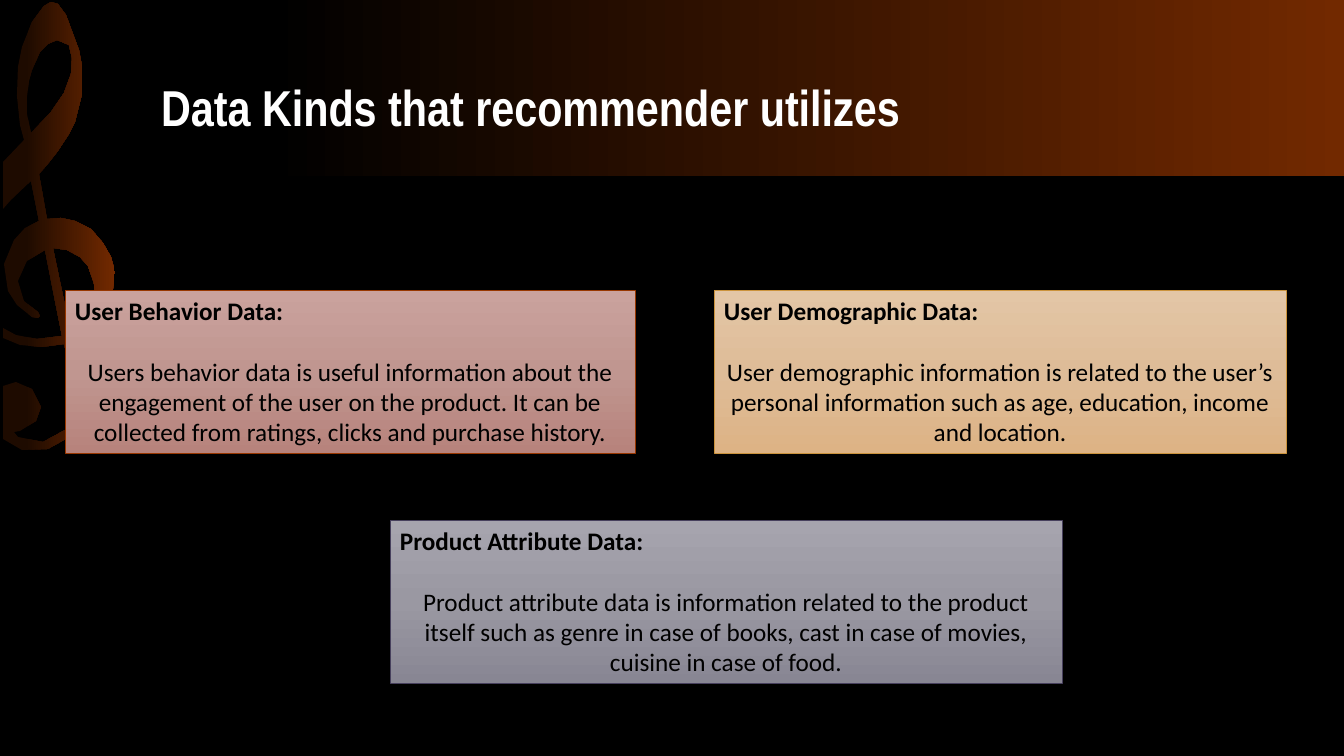
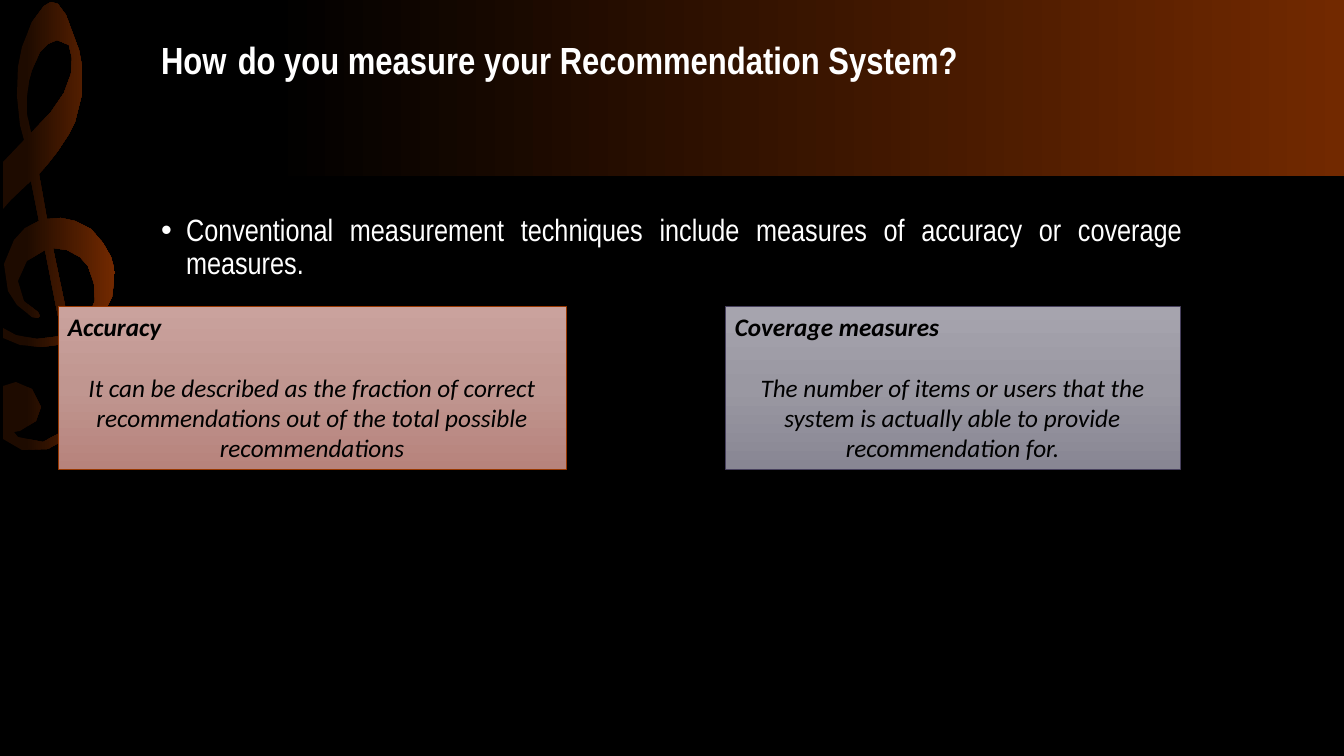
from dataclasses import dataclass

from lxml import etree
from pptx import Presentation
from pptx import util as u
from pptx.dml.color import RGBColor
from pptx.enum import shapes, text
from pptx.oxml.ns import qn

PX = u.Inches(7.5) / 756
WIDE, HIGH = 1344, 756


@dataclass(frozen=True)
class Theme:
    back: str = "000000"
    ink: str = "000000"
    light: str = "FFFFFF"
    band: tuple = ((20, "000000"), (100, "722900"))
    clef: tuple = ((20, "1E0B00"), (100, "722900"))
    # Card tints: gradient stops and outline
    rose: tuple = (((0, "CAA29D"), (50, "C09690"), (100, "B7837C")), "983700")
    sand: tuple = (((0, "E3C6A6"), (50, "DEBC98"), (100, "DDB385")), "CB933C")
    slate: tuple = (((0, "A6A4AE"), (50, "9A98A2"), (100, "888693")), "47405D")
    head: str = "Arial Narrow"
    text: str = "Calibri"
    serif: str = "Times New Roman"
    big: int = 36
    mid: int = 27
    gap: int = 32
    list: int = 22
    card: int = 18


T = Theme()

# Clef in px: the outline, then its two openings
CLEF = [
    [(103, 243), (91, 229), (75, 221), (61, 218), (47, 219), (39, 174),
     (47, 165), (58, 151), (69, 134), (75, 122), (82, 94), (82, 66), (79, 50),
     (66, 15), (58, 4), (51, 2), (44, 6), (32, 22), (22, 47), (18, 67),
     (17, 96), (20, 125), (24, 140), (3, 162), (3, 209), (11, 200), (31, 181),
     (39, 221), (25, 228), (14, 240), (4, 264), (8, 291), (17, 305),
     (32, 317), (38, 318), (40, 316), (38, 312), (24, 301), (18, 281),
     (27, 261), (45, 250), (62, 336), (37, 339), (16, 335), (3, 328),
     (3, 338), (20, 345), (42, 347), (64, 344), (68, 359), (74, 396),
     (73, 415), (65, 430), (43, 442), (18, 437), (14, 432), (20, 431),
     (36, 421), (41, 407), (32, 389), (16, 382), (3, 386), (3, 439),
     (22, 450), (48, 449), (71, 436), (81, 422), (83, 407), (79, 371),
     (72, 341), (88, 332), (101, 319), (112, 297), (115, 272), (111, 257)],
    [(31, 133), (27, 114), (27, 97), (29, 81), (32, 70), (40, 52), (48, 44),
     (57, 40), (69, 45), (72, 58), (71, 74), (64, 93), (51, 112)],
    [(95, 301), (89, 315), (71, 334), (53, 248), (67, 250), (80, 257),
     (88, 266), (94, 283)],
]


def px(*nums):
    return [round(n * PX) for n in nums]


def rgb(code):
    return RGBColor.from_string(code)


def shade(shape, stops, angle):
    """Fill a shape with a linear gradient of (percent, colour) stops."""
    shape.shadow.inherit = False
    shape.fill.gradient()
    shape.fill.gradient_angle = angle
    group = shape.element.spPr.find(".//" + qn("a:gsLst"))
    for old in list(group):
        group.remove(old)
    for pos, code in stops:
        stop = etree.SubElement(group, qn("a:gs"), pos=str(pos * 1000))
        etree.SubElement(stop, qn("a:srgbClr"), val=code)


def style(font, name, size, color, bold=False, slant=False):
    font.name, font.size = name, u.Pt(size)
    font.color.rgb = rgb(color)
    font.bold, font.italic = bold, slant


def draw_clef(slide):
    pen = None
    for start, *rest in CLEF:
        if pen is None:
            pen = slide.shapes.build_freeform(*px(*start))
        else:
            pen.move_to(*px(*start))
        pen.add_line_segments([px(*point) for point in rest])
    return pen.convert_to_shape()


def dress(deck, slide):
    """Put the backdrop, band and clef on the master, drawn via a slide."""
    master = deck.slide_master
    master.background.fill.solid()
    master.background.fill.fore_color.rgb = rgb(T.back)
    band = slide.shapes.add_shape(
        shapes.MSO_SHAPE.RECTANGLE, *px(0, 0, WIDE, 176))
    parts = [(band, T.band), (draw_clef(slide), T.clef)]
    for n, (part, stops) in enumerate(parts):
        shade(part, stops, 0)
        part.line.fill.background()
        part.element.nvSpPr.cNvPr.set("id", str(100 + n))
        master.shapes.element.insert(2 + n, part.element)


def place(shape, *box):
    shape.left, shape.top, shape.width, shape.height = px(*box)


def add_title(slide, runs, anchor, inset=5):
    """Title from (words, font, size) runs."""
    title = slide.shapes.title
    place(title, 151, 22, 1041, 121)
    frame = title.text_frame
    frame.auto_size = text.MSO_AUTO_SIZE.NONE
    frame.vertical_anchor = anchor
    frame.margin_top = px(inset)[0]
    para = frame.paragraphs[0]
    para.alignment, para.line_spacing = text.PP_ALIGN.LEFT, 0.9
    for words, name, size in runs:
        run = para.add_run()
        run.text = words
        style(run.font, name, size, T.light, bold=True)


def add_list(slide, items):
    body = slide.placeholders[1]
    place(body, 151, 210, 1041, 487)
    frame = body.text_frame
    frame.auto_size = text.MSO_AUTO_SIZE.NONE
    for n, item in enumerate(items):
        para = frame.add_paragraph() if n else frame.paragraphs[0]
        para.text = item
        para.alignment = text.PP_ALIGN.JUSTIFY
        para.line_spacing, para.space_before = 0.9, u.Pt(12)
        style(para.font, T.head, T.list, T.light)
        props = para._p.get_or_add_pPr()
        props.set("marL", str(px(25)[0]))
        props.set("indent", str(px(-25)[0]))
        etree.SubElement(props, qn("a:buChar"), char="•")
        props.append(props.find(qn("a:defRPr")))


def add_card(slide, left, top, width, tint, head, words, slant=False):
    card = slide.shapes.add_shape(
        shapes.MSO_SHAPE.RECTANGLE, *px(left, top, width, 163))
    stops, edge = tint
    shade(card, stops, 270)
    card.line.color.rgb, card.line.width = rgb(edge), u.Pt(0.5)
    frame = card.text_frame
    frame.word_wrap = True
    frame.vertical_anchor = text.MSO_ANCHOR.TOP
    first, last = frame.paragraphs[0], frame.add_paragraph()
    first.text, last.text = head, words
    first.alignment = text.PP_ALIGN.LEFT if slant else text.PP_ALIGN.JUSTIFY
    last.alignment, last.space_before = text.PP_ALIGN.CENTER, u.Pt(22)
    style(first.font, T.text, T.card, T.ink, True, slant)
    style(last.font, T.text, T.card, T.ink, False, slant)


def main():
    deck = Presentation()
    deck.slide_width, deck.slide_height = px(WIDE, HIGH)

    # Kinds of data
    kinds = deck.slides.add_slide(deck.slide_layouts[5])
    dress(deck, kinds)
    add_title(kinds, [("Data Kinds that recommender utilizes", T.head, T.big)],
              text.MSO_ANCHOR.BOTTOM)
    add_card(kinds, 65, 290, 570, T.rose, "User Behavior Data:",
             "Users behavior data is useful information about the engagement "
             "of the user on the product. It can be collected from ratings, "
             "clicks and purchase history.")
    add_card(kinds, 390, 520, 672, T.slate, "Product Attribute Data:",
             "Product attribute data is information related to the product "
             "itself such as genre in case of books, cast in case of movies, "
             "cuisine in case of food.")
    add_card(kinds, 714, 290, 572, T.sand, "User Demographic Data:",
             "User demographic information is related to the user’s personal "
             "information such as age, education, income and location.")

    # Measures
    gauge = deck.slides.add_slide(deck.slide_layouts[1])
    add_title(gauge, [("How", T.head, T.mid), (" ", T.serif, T.gap),
                      ("do you measure your Recommendation System?",
                       T.head, T.mid)],
              text.MSO_ANCHOR.TOP, inset=14)
    add_list(gauge, ["Conventional measurement techniques include measures of "
                     "accuracy or coverage measures."])
    add_card(gauge, 58, 306, 508, T.rose, "Accuracy",
             "It can be described as the fraction of correct recommendations "
             "out of the total possible recommendations", slant=True)
    add_card(gauge, 725, 306, 455, T.slate, "Coverage measures",
             "The number of items or users that the system is actually able "
             "to provide recommendation for.", slant=True)

    deck.save("out.pptx")


if __name__ == "__main__":
    main()
